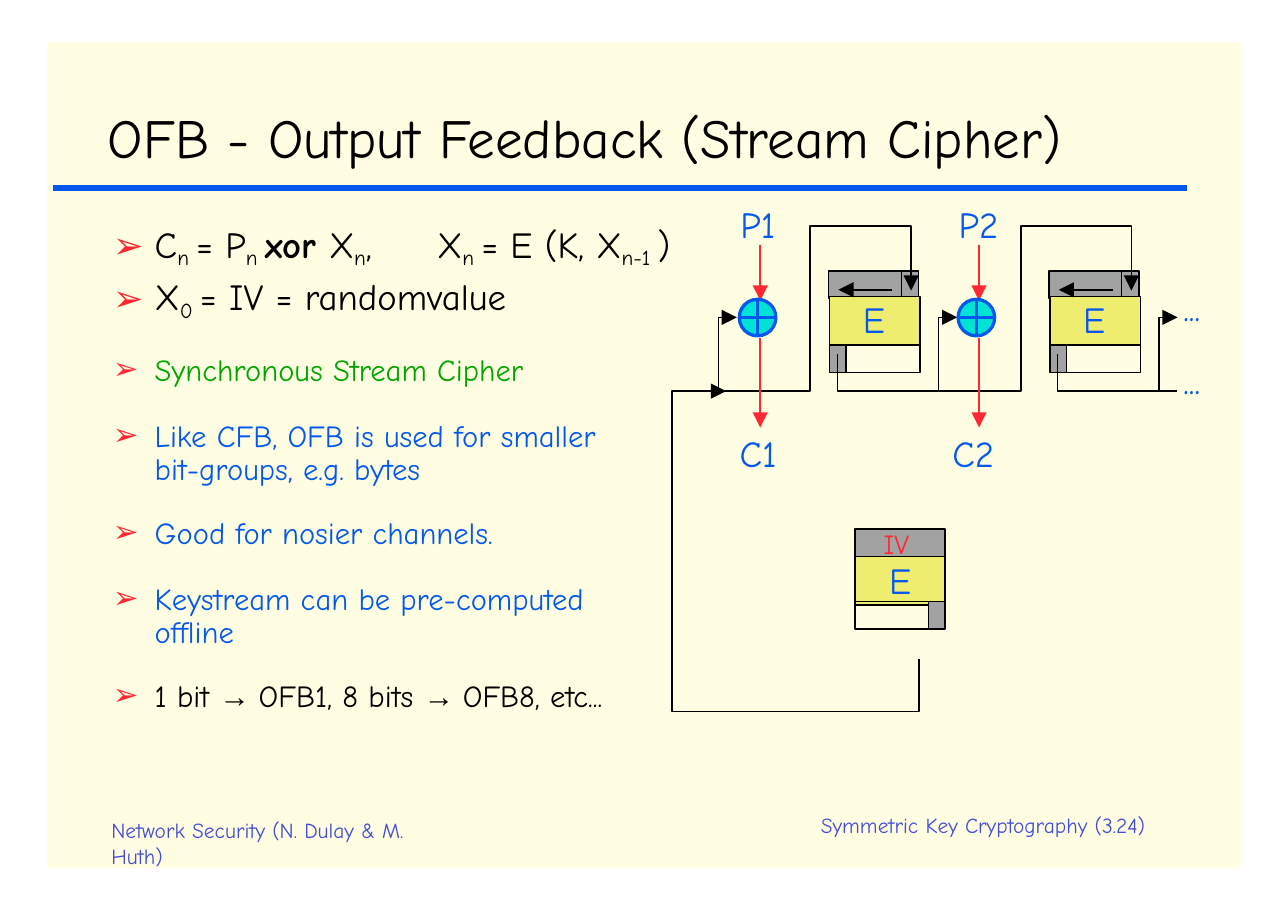
"""Build the slide on output feedback mode."""
from lxml.etree import SubElement
from pptx import Presentation
from pptx.dml.color import RGBColor
from pptx.enum.shapes import MSO_CONNECTOR, MSO_SHAPE as SHAPE
from pptx.enum.text import MSO_ANCHOR, MSO_AUTO_SIZE, PP_ALIGN
from pptx.oxml.ns import qn
from pptx.util import Pt

CREAM = RGBColor(0xFF, 0xFE, 0xE2)
BLUE = RGBColor(0x05, 0x58, 0xED)
BLACK = RGBColor(0, 0, 0)
RED = RGBColor(0xFF, 0x28, 0x33)
GREEN = RGBColor(0, 0xA5, 0)
CYAN = RGBColor(0, 0xE3, 0xD4)
YELLOW = RGBColor(0xEE, 0xED, 0x70)
GREY = RGBColor(0xA2, 0xA2, 0xA2)
VIOLET = RGBColor(0x43, 0x4D, 0xD6)
FONT = "Comic Neue"

presentation = Presentation()
presentation.slide_width = Pt(841.68)
presentation.slide_height = Pt(594.72)
slide = presentation.slides.add_slide(presentation.slide_layouts[1])
shapes = slide.shapes


def add_box(kind, left, top, width, height, fill=None, line=BLACK, weight=0.96):
    shape = shapes.add_shape(kind, Pt(left), Pt(top), Pt(width), Pt(height))
    shape.shadow.inherit = False
    if fill is None:
        shape.fill.background()
    else:
        shape.fill.solid()
        shape.fill.fore_color.rgb = fill
    if line is None:
        shape.line.fill.background()
    else:
        shape.line.color.rgb = line
        shape.line.width = Pt(weight)
    return shape


def fill_frame(shape, left, top, width, height, text, size, color, spacing=None):
    shape.left, shape.top, shape.width, shape.height = Pt(left), Pt(top), Pt(width), Pt(height)
    frame = shape.text_frame
    frame.margin_left = frame.margin_right = frame.margin_top = frame.margin_bottom = 0
    frame.word_wrap = True
    frame.auto_size = MSO_AUTO_SIZE.NONE
    frame.vertical_anchor = MSO_ANCHOR.TOP
    frame.text = text
    for paragraph in frame.paragraphs:
        paragraph.alignment = PP_ALIGN.LEFT
        paragraph.line_spacing = spacing
        paragraph.font.name = FONT
        paragraph.font.size = Pt(size)
        paragraph.font.color.rgb = color
    return frame


panel = add_box(SHAPE.RECTANGLE, 31, 27.4, 779.8, 540, CREAM, None)
shapes._spTree.insert(2, panel._element)

fill_frame(shapes.title, 70.5, 67.7, 702, 51, "OFB - Output Feedback (Stream Cipher)", 36, BLACK)

bullets = [
    (24, BLACK, 0, None, ["C", "_n ", "= P", "_n ", "*xor ", "X", "_n", ",\tX", "_n ",
                          "= E (K, X", "_n-1 ", ")"]),
    (24, BLACK, 2.6, None, ["X", "_0 ", "= IV = randomvalue"]),
    (20, GREEN, 18.4, None, ["Synchronous Stream Cipher"]),
    (20, BLUE, 21.5, 21.6, ["Like CFB, OFB is used for smaller", "\v", "bit-groups, e.g. bytes"]),
    (20, BLUE, 17.9, None, ["Good for nosier channels."]),
    (20, BLUE, 21.5, 21.6, ["Keystream can be pre-computed", "\v", "offline"]),
    (20, BLACK, 17.9, None, ["1 bit ", "→ ", "OFB1, 8 bits ", "→ ", "OFB8, etc..."]),
]
body = fill_frame(slide.placeholders[1], 72.7, 144.7, 382.3, 317.5, "", 24, BLACK)
for index, (size, color, before, spacing, pieces) in enumerate(bullets):
    paragraph = body.add_paragraph() if index else body.paragraphs[0]
    properties = paragraph._p.get_or_add_pPr()
    for old in list(properties):
        properties.remove(old)
    properties.set("marL", str(Pt(28.4)))
    properties.set("indent", str(-Pt(27.4)))
    bullet_color = SubElement(properties, qn("a:buClr"))
    SubElement(bullet_color, qn("a:srgbClr"), val=str(RED))
    SubElement(properties, qn("a:buChar"), char="➢")
    tabs = SubElement(properties, qn("a:tabLst"))
    for position in (28.4, 213):
        SubElement(tabs, qn("a:tab"), pos=str(Pt(position)), algn="l")
    paragraph.alignment = PP_ALIGN.LEFT
    paragraph.space_before = Pt(before)
    paragraph.line_spacing = Pt(spacing) if spacing else None
    paragraph.font.size = Pt(size)
    paragraph.font.color.rgb = color
    for piece in pieces:
        if piece == "\v":
            paragraph.add_line_break()
            continue
        run = paragraph.add_run()
        run.text = piece.lstrip("_*")
        run.font.name = "Arial" if piece == "→ " else FONT
        if piece.startswith("_"):
            run._r.get_or_add_rPr().set("baseline", "-21000")
        elif piece.startswith("*"):
            run.font.bold = True

STAGE = 144
XOR_STEP = 143
BUS = 255.6
FEEDBACK = 147.6
XOR_ROW = 207.4

for stage in range(2):
    left = 542.2 + stage * STAGE
    add_box(SHAPE.RECTANGLE, left - 0.8, 177.1, 59, 18, GREY)
    add_box(SHAPE.RECTANGLE, left, 193.7, 59, 31.7, YELLOW)
    add_box(SHAPE.RECTANGLE, left, 225.4, 10.8, 18, GREY)
    add_box(SHAPE.RECTANGLE, left + 10.8, 225.4, 48.2, 18)
add_box(SHAPE.RECTANGLE, 558.7, 345.6, 59, 18, GREY)
add_box(SHAPE.RECTANGLE, 558.7, 363.6, 59, 31.7, YELLOW)
add_box(SHAPE.RECTANGLE, 558.7, 393.1, 48.2, 18)
add_box(SHAPE.RECTANGLE, 606.9, 393.1, 10.8, 18, GREY)

wires = [
    ([(34.6, 123.1), (775.4, 123.1)], BLUE, 4.08, False),
    ([(600.5, 430.6), (600.5, 465.1), (439.2, 465.1), (439.2, BUS), (474.5, BUS)],
     BLACK, 0.96, True),
    ([(463, BUS), (529.2, BUS), (529.2, FEEDBACK), (595.4, FEEDBACK), (595.4, 190)],
     BLACK, 0.96, True),
    ([(547.2, 231.1), (547.2, BUS), (667.4, BUS), (667.4, FEEDBACK), (739.4, FEEDBACK),
      (739.4, 190)], BLACK, 0.96, True),
    ([(691.2, 231.1), (691.2, BUS), (769, BUS)], BLACK, 0.96, False),
]
for stage in range(3):
    x = 469.4 + stage * STAGE
    wires.append(([(x, BUS), (x, XOR_ROW), (x + 12.2, XOR_ROW)], BLACK, 0.96, True))
for stage in range(2):
    shift = stage * STAGE
    x = 496.8 + stage * XOR_STEP
    wires += [
        ([(589 + shift, 177.1), (589 + shift, 193.7)], BLACK, 0.96, False),
        ([(583.2 + shift, 189.4), (547.9 + shift, 189.4)], BLACK, 0.96, True),
        ([(x, 160), (x, 196.5)], RED, 0.96, True),
        ([(x, 221), (x, 279.4)], RED, 0.96, True),
    ]
for points, color, weight, has_arrow in wires:
    corners = [(Pt(x), Pt(y)) for x, y in points]
    if len(corners) == 2:
        wire = shapes.add_connector(MSO_CONNECTOR.STRAIGHT, *corners[0], *corners[1])
    else:
        builder = shapes.build_freeform(*corners[0])
        builder.add_line_segments(corners[1:], close=False)
        wire = builder.convert_to_shape()
        wire.fill.background()
    wire.line.color.rgb = color
    wire.line.width = Pt(weight)
    if has_arrow:
        SubElement(wire.line._get_or_add_ln(), qn("a:tailEnd"), type="triangle", w="lg", len="lg")
    SubElement(wire._element.spPr, qn("a:effectLst"))

for stage in range(2):
    add_box(SHAPE.FLOWCHART_OR, 483.1 + stage * XOR_STEP, 195.6, 23.9, 23.9, CYAN, BLUE, 2.16)

labels = [
    ("P1", 483.8, 131.8, 30, 30, 24, BLUE, None),
    ("P2", 626.4, 131.8, 30, 30, 24, BLUE, None),
    ("C1", 483.4, 281.5, 30, 30, 24, BLUE, None),
    ("C2", 622.4, 281.5, 30, 30, 24, BLUE, None),
    ("E", 563.8, 193.7, 18, 30, 24, BLUE, None),
    ("E", 707.8, 193.7, 18, 30, 24, BLUE, None),
    ("E", 581, 364.3, 18, 30, 24, BLUE, None),
    ("IV", 577.4, 344.2, 24, 22, 18, RED, None),
    ("...", 773.3, 185.8, 24, 30, 24, BLUE, None),
    ("...", 773.3, 234, 24, 30, 24, BLUE, None),
    ("Symmetric Key Cryptography (3.24)", 536.4, 532.8, 237, 16, 14, VIOLET, Pt(14.8)),
    ("Network Security (N. Dulay & M.\nHuth)", 72.7, 534.2, 217, 33, 14, VIOLET, None),
]
for text, left, top, width, height, size, color, spacing in labels:
    box = shapes.add_textbox(0, 0, 0, 0)
    fill_frame(box, left, top, width, height, text, size, color, spacing)

presentation.save("out.pptx")
